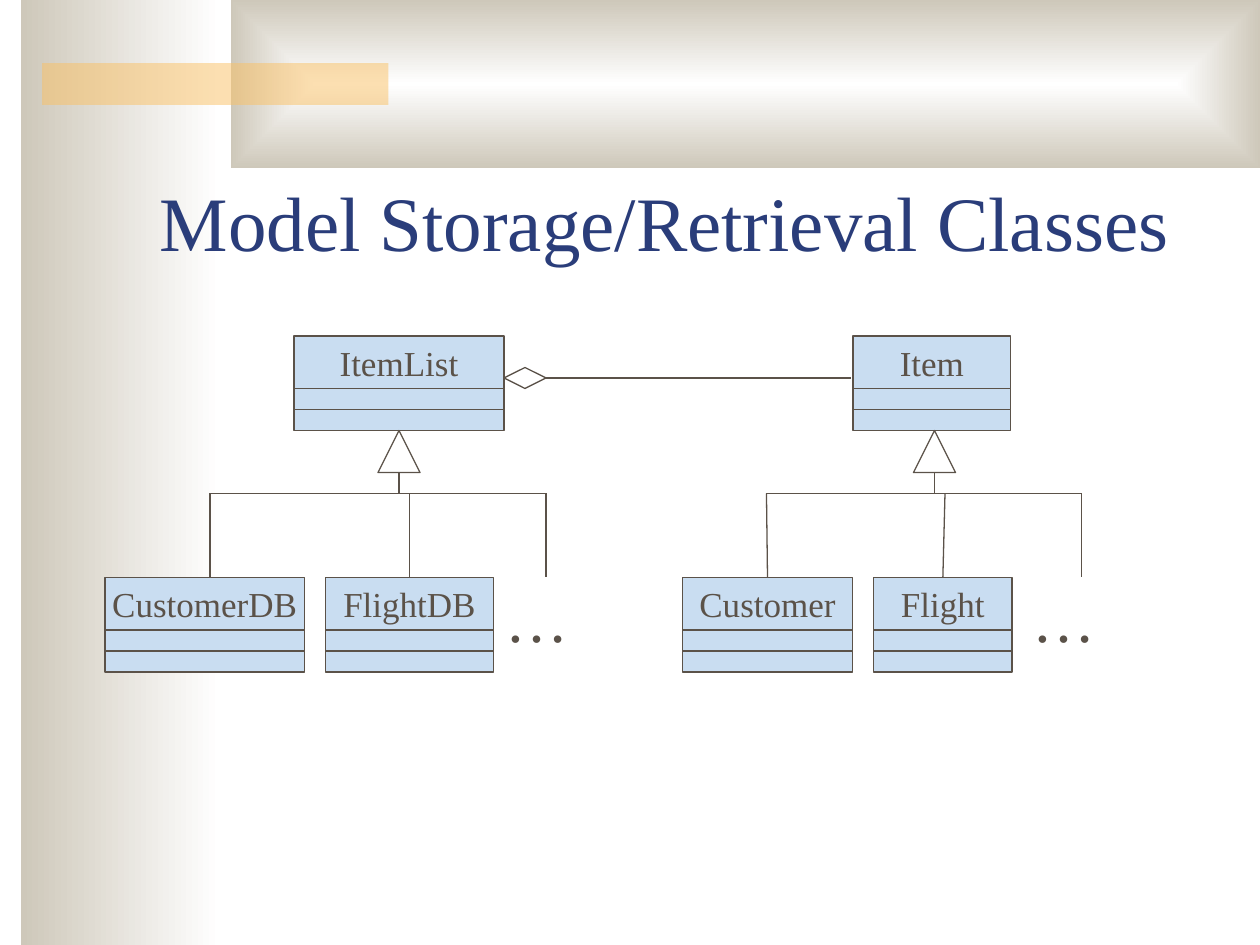
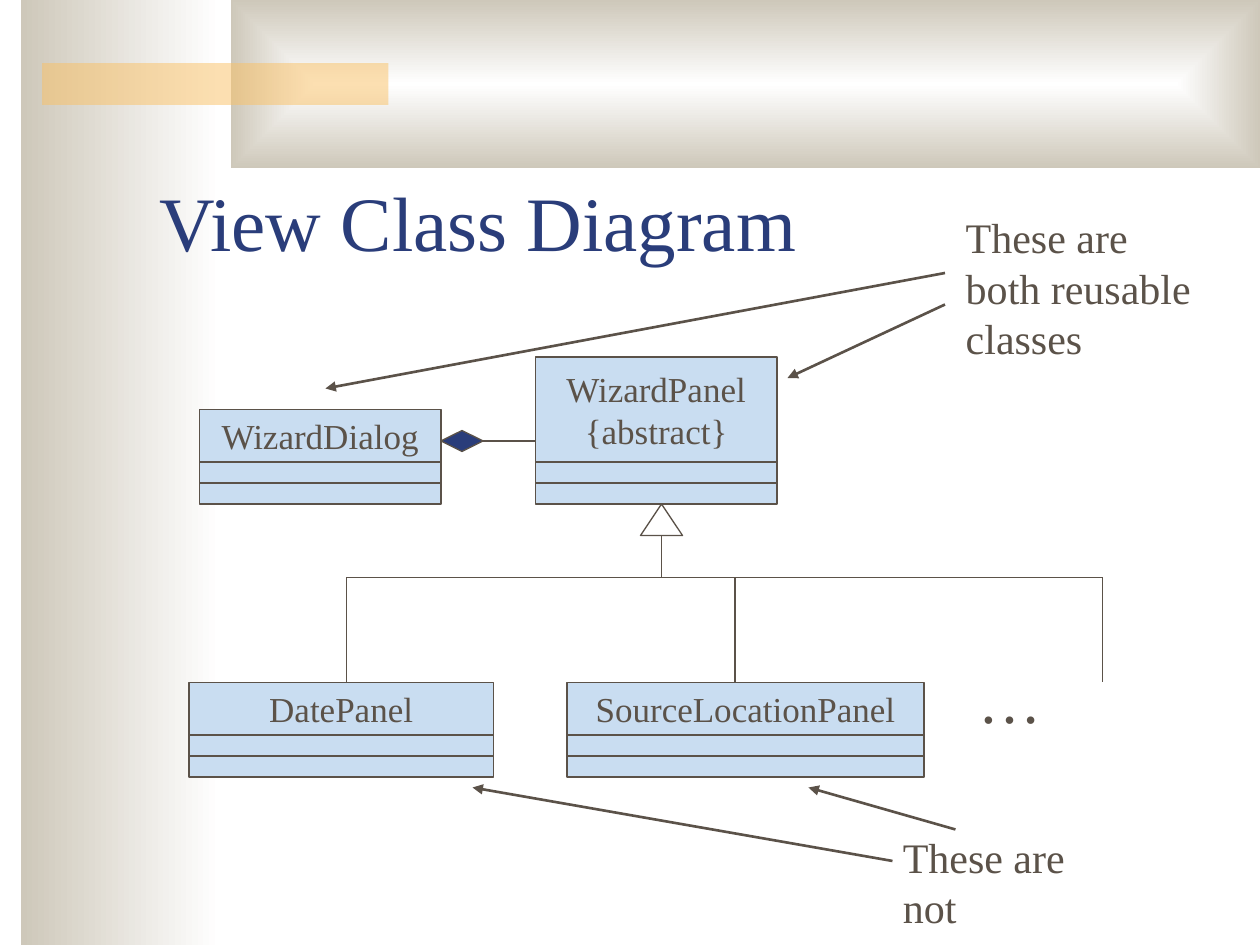
from dataclasses import dataclass

from lxml.etree import SubElement
from pptx import Presentation
from pptx.dml.color import RGBColor
from pptx.enum.shapes import MSO_CONNECTOR, MSO_SHAPE
from pptx.enum.text import MSO_ANCHOR, MSO_AUTO_SIZE, PP_ALIGN
from pptx.oxml.ns import qn
from pptx.util import Inches, Pt


@dataclass(frozen=True)
class Theme:
    font: str = "Times New Roman"
    title: str = "2A3D7A"
    ink: str = "5B5249"
    box: str = "C9DDF1"
    paper: str = "FFFFFF"
    sand: str = "CEC8BA"
    accent: str = "FAC164"
    title_size: int = 44
    class_size: int = 20
    note_size: int = 24
    dots_size: int = 36
    thin: float = 0.75
    thick: float = 1.5


THEME = Theme()

# All places are in grid cells of 1/12 inch: the slide is 120 by 90 cells
COLUMNS, ROWS, CELLS_PER_INCH = 120, 90, 12
TITLE_PLACE = (14, 11, 102, 15)
NAME_ROWS, SECTION_ROWS = 5, 2
DIAMOND_WIDTH, DIAMOND_HEIGHT, TRIANGLE_WIDTH = 4, 2, 4
DOTS_SIDE = 8.4
JOIN_TOLERANCE = 0.25

# classes: name, left, top, width, rows of the name part
# links: diamond left, row of the line, line end, filled
# trees: middle of the triangle, its top, its height, row of the bus, foot, drops
# notes: text, left, top, width, height
# arrows: start column and row, end column and row
SLIDES = [
    {
        "title": "Model Storage/Retrieval Classes",
        "classes": [
            ("CustomerDB", 10, 55, 19, NAME_ROWS),
            ("Item", 81.25, 32, 15, NAME_ROWS),
            ("ItemList", 28, 32, 20, NAME_ROWS),
            ("FlightDB", 31, 55, 16, NAME_ROWS),
            ("Customer", 65, 55, 16.2, NAME_ROWS),
            ("Flight", 83.2, 55, 13.2, NAME_ROWS),
        ],
        "links": [(48, 36, 81, False)],
        "trees": [
            (38, 41, 4, 47, 55, (20, 39, 52)),
            (89, 41, 4, 47, 55, (73, 90, 103)),
        ],
        "dots": [(47, 54.6), (97.2, 54.6)],
        "notes": [],
        "arrows": [],
    },
    {
        "title": "View Class Diagram",
        "classes": [
            ("WizardDialog", 19, 39, 23, NAME_ROWS),
            ("WizardPanel\n{abstract}", 51, 34, 23, 2 * NAME_ROWS),
            ("DatePanel", 18, 65, 29, NAME_ROWS),
            ("SourceLocationPanel", 54, 65, 34, NAME_ROWS),
        ],
        "links": [(42, 42, 51, True)],
        "trees": [(63, 48, 3, 55, 65, (33, 70, 105))],
        "dots": [(92, 62.3)],
        "notes": [
            ("These are\nboth reusable\nclasses", 90.8, 19.6, 23.8, 15.6),
            ("These are not", 84.8, 78.6, 23.9, 6),
        ],
        "arrows": [(90, 26, 31, 37), (90, 29, 75, 36),
                   (91, 79, 77, 75), (85, 82, 45, 75)],
    },
]


# Helpers
def cells(*counts):
    return [Inches(count / CELLS_PER_INCH) for count in counts]


def color(value):
    return RGBColor.from_string(value)


def format_text(text_frame, size, ink=THEME.ink, align=PP_ALIGN.LEFT):
    for paragraph in text_frame.paragraphs:
        paragraph.alignment = align
        for run in paragraph.runs:
            run.font.name = THEME.font
            run.font.size = Pt(size)
            run.font.color.rgb = color(ink)


def add_outline(shapes, preset, place, fill=None):
    shape = shapes.add_shape(preset, *cells(*place))
    shape.shadow.inherit = False
    if fill:
        shape.fill.solid()
        shape.fill.fore_color.rgb = color(fill)
    else:
        shape.fill.background()
    shape.line.color.rgb = color(THEME.ink)
    shape.line.width = Pt(THEME.thin)
    return shape


def add_line(slide, start, end, width=THEME.thin, arrow=False):
    line = slide.shapes.add_connector(MSO_CONNECTOR.STRAIGHT, *cells(*start, *end))
    line.line.color.rgb = color(THEME.ink)
    line.line.width = Pt(width)
    if arrow:
        SubElement(line.line._get_or_add_ln(), qn("a:tailEnd"), type="triangle")
    SubElement(line.element.spPr, qn("a:effectLst"))
    return line


def add_text(slide, text, place, size):
    box = slide.shapes.add_textbox(*cells(*place))
    frame = box.text_frame
    frame.text = text
    frame.word_wrap = False
    frame.auto_size = MSO_AUTO_SIZE.SHAPE_TO_FIT_TEXT
    format_text(frame, size)


# Bands shared by all slides, kept on the layout
def add_bands(layout, slide):
    side, top, bar = [
        slide.shapes.add_shape(MSO_SHAPE.RECTANGLE, *cells(*place))
        for place in ((2, 0, 19, ROWS), (22, 0, COLUMNS - 22, 16), (4, 6, 33, 4))
    ]
    for band in (side, top):
        band.fill.gradient()
        band.fill.gradient_angle = 180
        stops = zip(band.fill.gradient_stops, (0, 1), (THEME.paper, THEME.sand))
        for stop, position, value in stops:
            stop.position = position
            stop.color.rgb = color(value)

    # The top band shades from its centre to all four sides
    gradient = top.element.spPr.find(qn("a:gradFill"))
    gradient.remove(gradient.find(qn("a:lin")))
    shade = SubElement(gradient, qn("a:path"), path="rect")
    SubElement(shade, qn("a:fillToRect"), {edge: "50000" for edge in "ltrb"})

    bar.fill.solid()
    bar.fill.fore_color.rgb = color(THEME.accent)
    tint = bar.element.spPr.find(qn("a:solidFill"))[0]
    SubElement(tint, qn("a:alpha"), val="50000")

    for index, band in enumerate((side, top, bar)):
        band.shadow.inherit = False
        band.line.fill.background()
        band.element.nvSpPr.cNvPr.set("id", str(100 + index))
        layout.shapes.element.insert(2 + index, band.element)


def add_title(slide, text):
    title = slide.shapes.title
    title.left, title.top, title.width, title.height = cells(*TITLE_PLACE)
    frame = title.text_frame
    frame.text = text
    frame.word_wrap = True
    frame.auto_size = MSO_AUTO_SIZE.NONE
    frame.vertical_anchor = MSO_ANCHOR.BOTTOM
    format_text(frame, THEME.title_size, THEME.title)


# Parts of a class diagram
def add_class(slide, name, left, top, width, name_rows):
    group = slide.shapes.add_group_shape()
    parts = []
    for rows in (name_rows, SECTION_ROWS, SECTION_ROWS):
        place = (left, top, width, rows)
        parts.append(add_outline(group.shapes, MSO_SHAPE.RECTANGLE, place, THEME.box))
        top += rows
    frame = parts[0].text_frame
    frame.text = name
    frame.word_wrap = False
    frame.vertical_anchor = MSO_ANCHOR.MIDDLE
    format_text(frame, THEME.class_size, align=PP_ALIGN.CENTER)
    return parts[0]


def add_link(slide, left, row, end, filled):
    place = (left, row - DIAMOND_HEIGHT / 2, DIAMOND_WIDTH, DIAMOND_HEIGHT)
    diamond = add_outline(slide.shapes, MSO_SHAPE.DIAMOND, place,
                          THEME.title if filled else None)
    line = add_line(slide, (end, row), (left + DIAMOND_WIDTH, row))
    line.end_connect(diamond, 3)


def add_tree(slide, tops, middle, top, height, bus, foot, drops):
    place = (middle - TRIANGLE_WIDTH / 2, top, TRIANGLE_WIDTH, height)
    add_outline(slide.shapes, MSO_SHAPE.ISOSCELES_TRIANGLE, place)
    add_line(slide, (middle, top + height), (middle, bus))
    add_line(slide, (drops[0], bus), (drops[-1], bus))
    for column in drops:
        line = add_line(slide, (column, bus), (column, foot))
        for box_middle, box_top, box in tops:
            if box_top == foot and abs(box_middle - column) < JOIN_TOLERANCE:
                line.end_connect(box, 0)


def add_diagram(slide, content):
    tops = []
    for name, left, top, width, rows in content["classes"]:
        box = add_class(slide, name, left, top, width, rows)
        tops.append((left + width / 2, top, box))
    for link in content["links"]:
        add_link(slide, *link)
    for tree in content["trees"]:
        add_tree(slide, tops, *tree)
    for left, top in content["dots"]:
        add_text(slide, "…", (left, top, DOTS_SIDE, DOTS_SIDE), THEME.dots_size)
    for text, *place in content["notes"]:
        add_text(slide, text, place, THEME.note_size)
    for arrow in content["arrows"]:
        add_line(slide, arrow[:2], arrow[2:], THEME.thick, arrow=True)


def main():
    presentation = Presentation()
    presentation.slide_width, presentation.slide_height = cells(COLUMNS, ROWS)
    layout = presentation.slide_layouts.get_by_name("Title Only")
    for index, content in enumerate(SLIDES):
        slide = presentation.slides.add_slide(layout)
        if index == 0:
            add_bands(layout, slide)
        add_title(slide, content["title"])
        add_diagram(slide, content)
    presentation.save("out.pptx")


if __name__ == "__main__":
    main()
